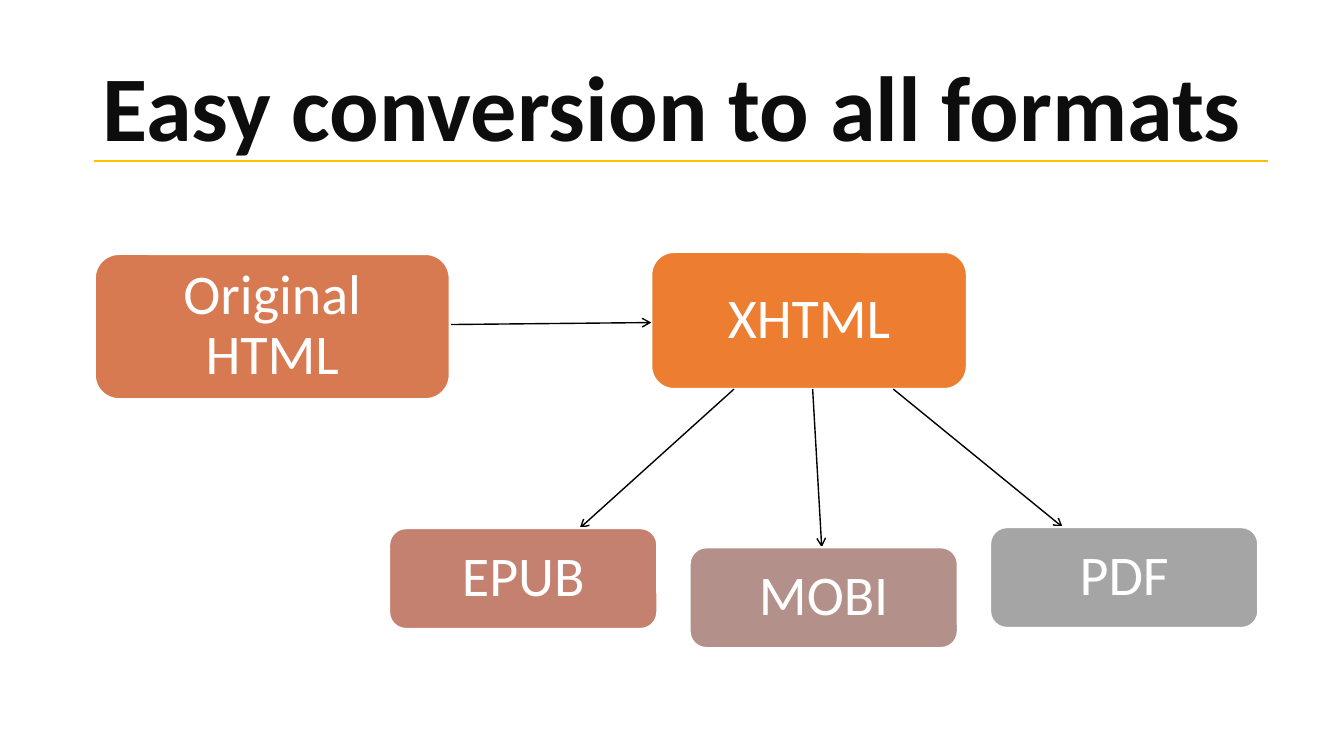
"""Build a slide showing one HTML source converted to several e-book formats."""
from dataclasses import dataclass

from lxml import etree
from pptx import Presentation
from pptx.dml.color import RGBColor
from pptx.enum.shapes import MSO_CONNECTOR, MSO_SHAPE
from pptx.enum.text import MSO_ANCHOR, PP_ALIGN
from pptx.oxml.ns import qn
from pptx.util import Inches, Pt

ROUNDED = MSO_SHAPE.ROUNDED_RECTANGLE
STRAIGHT = MSO_CONNECTOR.STRAIGHT
MIDDLE = MSO_ANCHOR.MIDDLE
CENTER = PP_ALIGN.CENTER


@dataclass(frozen=True)
class Theme:
    """Colours, font and type sizes of the slide."""
    font: str = "Calibri"
    title_size: int = 66
    box_size: int = 40
    title: str = "0D0D0D"
    rule: str = "FFC000"
    arrow: str = "000000"
    white: str = "FFFFFF"
    source: str = "D87A51"
    hub: str = "ED7D31"
    epub: str = "C48170"
    mobi: str = "B4908B"
    pdf: str = "A5A5A5"


class SlideBuilder:
    """Draws styled elements on the current slide."""

    def __init__(self, slide, theme):
        self.shapes = slide.shapes
        self.theme = theme

    def set_text(self, shape, text, size, color, bold=False):
        """Set centred text in a shape."""
        frame = shape.text_frame
        frame.text = text
        frame.word_wrap = True
        frame.vertical_anchor = MIDDLE
        paragraph = frame.paragraphs[0]
        paragraph.alignment = CENTER
        paragraph.line_spacing = 0.9
        font = paragraph.runs[0].font
        font.name = self.theme.font
        font.size = Pt(size)
        font.bold = bold
        font.color.rgb = RGBColor.from_string(color)

    def title(self, text, left, top, width, height):
        """Add the slide title."""
        shape = self.shapes.add_textbox(Inches(left), Inches(top), Inches(width), Inches(height))
        self.set_text(shape, text, self.theme.title_size, self.theme.title, bold=True)

    def box(self, text, color, left, top, width, height):
        """Add a rounded box with a white outline."""
        shape = self.shapes.add_shape(
            ROUNDED, Inches(left), Inches(top), Inches(width), Inches(height))
        shape.shadow.inherit = False
        shape.fill.solid()
        shape.fill.fore_color.rgb = RGBColor.from_string(color)
        shape.line.color.rgb = RGBColor.from_string(self.theme.white)
        shape.line.width = Pt(1.5)
        frame = shape.text_frame
        frame.margin_left = frame.margin_right = Inches(0.12)
        frame.margin_top = frame.margin_bottom = Inches(0.11)
        self.set_text(shape, text, self.theme.box_size, self.theme.white)

    def line(self, start, end, color, width):
        """Add a straight line without a shadow."""
        connector = self.shapes.add_connector(
            STRAIGHT, *(Inches(value) for value in (*start, *end)))
        connector.line.color.rgb = RGBColor.from_string(color)
        connector.line.width = Pt(width)
        etree.SubElement(connector.element.spPr, qn("a:effectLst"))
        return connector

    def arrow(self, start, end):
        """Add a thin line with an open arrowhead at its end."""
        connector = self.line(start, end, self.theme.arrow, 1)
        outline = connector.element.spPr.find(qn("a:ln"))
        etree.SubElement(outline, qn("a:tailEnd"), type="arrow")


def main():
    """Create and save the presentation."""
    presentation = Presentation()
    presentation.slide_width = Inches(13.33)
    presentation.slide_height = Inches(7.5)
    slide = presentation.slides.add_slide(presentation.slide_layouts[6])
    theme = Theme()
    builder = SlideBuilder(slide, theme)

    builder.box("XHTML", theme.hub, 6.46, 2.5, 3.13, 1.36)
    builder.arrow((4.45, 3.22), (6.46, 3.2))
    builder.box("Original HTML", theme.source, 0.94, 2.52, 3.52, 1.44)

    formats = (
        ("EPUB", theme.epub, 5.24, 7.28, 5.75),
        ("MOBI", theme.mobi, 5.43, 8.06, 8.15),
        ("PDF", theme.pdf, 5.23, 8.86, 10.54),
    )
    for index, (name, color, top, start_x, end_x) in enumerate(formats):
        builder.arrow((start_x, 3.86), (end_x, top))
        builder.box(name, color, 3.86 + index * 2.98, top, 2.66, 1)

    builder.title("Easy conversion to all formats", 0.63, 0.38, 12.07, 1.45)
    builder.line((0.93, 1.6), (12.58, 1.6), theme.rule, 1.5)
    presentation.save("out.pptx")


if __name__ == "__main__":
    main()
